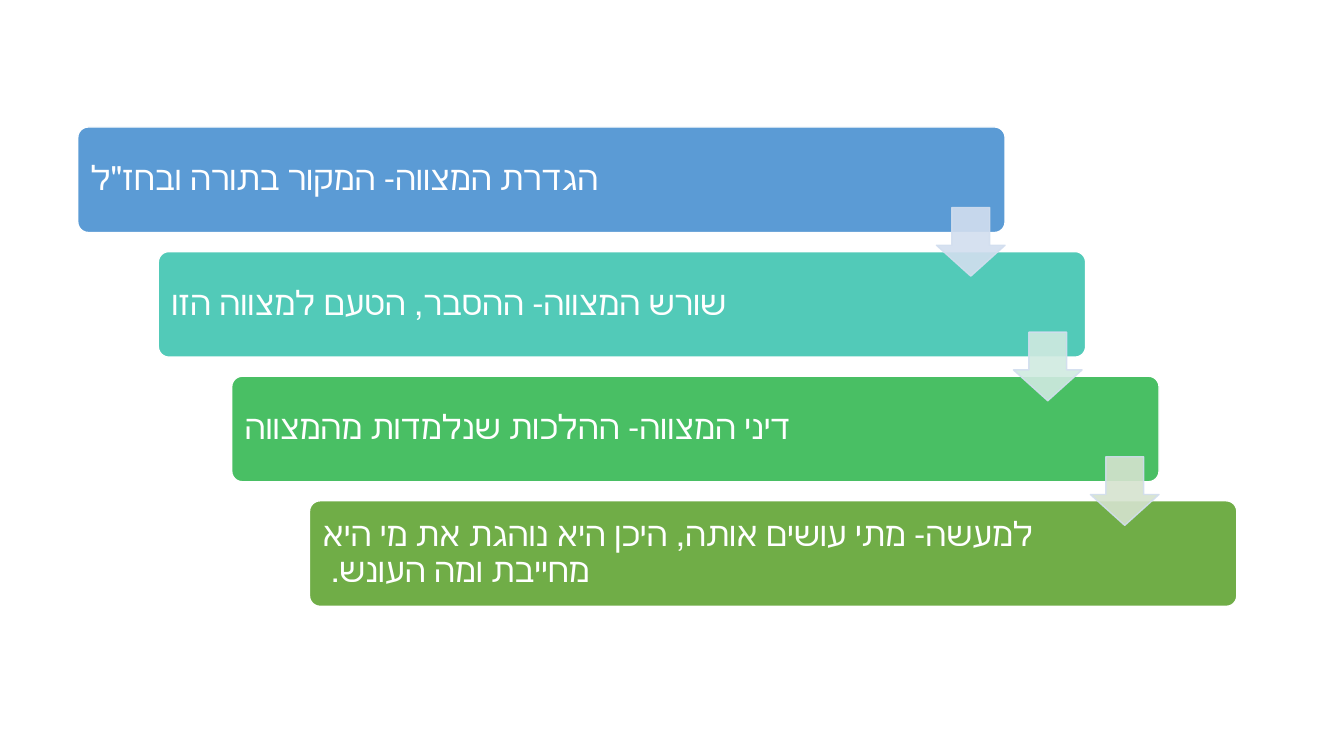
from dataclasses import dataclass

from pptx import Presentation
from pptx import util as u
from pptx.dml.color import RGBColor
from pptx.enum import shapes, text
from pptx.oxml.ns import qn
from lxml import etree


@dataclass(frozen=True)
class Theme:
    font: str = "Roboto"
    size: int = 24
    ink: str = "FFFFFF"
    edge: str = "FFFFFF"
    rim: str = "D2DEEF"
    alpha: int = 90


@dataclass(frozen=True)
class Step:
    left: float
    fill: str
    words: str


THEME = Theme()

# Lengths in cm
TOP, PITCH = 3.2, 3.14
WIDTH, HEIGHT = 23.37, 2.66
HEAD_LEFT, HEAD_TOP, HEAD_STEP, HEAD = 23.6, 5.23, 1.94, 1.73

STEPS = [
    Step(1.96, "5B9BD5", 'הגדרת המצווה- המקור בתורה ובחז"ל'),
    Step(3.99, "52CAB8", "שורש המצווה- ההסבר, הטעם למצווה הזו"),
    Step(5.84, "49BF64", "דיני המצווה- ההלכות שנלמדות מהמצווה"),
    Step(7.8, "70AD47",
         "למעשה- מתי עושים אותה, היכן היא נוהגת את מי היא מחייבת ומה העונש. "),
]
ARROWS = ["D2DEEF", "D0EAE1", "D5E3CF"]

FRAME = {
    "word_wrap": True,
    "vertical_anchor": text.MSO_ANCHOR.MIDDLE,
    "margin_left": u.Cm(0.25),
    "margin_right": u.Cm(3.94),
    "margin_top": u.Cm(0.25),
    "margin_bottom": u.Cm(0.25),
}
PARA = {"alignment": text.PP_ALIGN.LEFT, "line_spacing": 0.9}
FONT = {"name": THEME.font, "size": u.Pt(THEME.size)}


def apply(item, values: dict) -> None:
    for key, value in values.items():
        setattr(item, key, value)


def draw(slide, kind, box: tuple, adjust: tuple, fill: str, line: str):
    shape = slide.shapes.add_shape(kind, *(u.Cm(n) for n in box))
    shape.shadow.inherit = False
    for i, value in enumerate(adjust):
        shape.adjustments[i] = value
    shape.fill.solid()
    shape.fill.fore_color.rgb = RGBColor.from_string(fill)
    shape.line.color.rgb = RGBColor.from_string(line)
    shape.line.width = u.Pt(1)
    return shape


def add_bar(slide, step: Step, row: int) -> None:
    box = (step.left, TOP + row * PITCH, WIDTH, HEIGHT)
    shape = draw(slide, shapes.MSO_SHAPE.ROUNDED_RECTANGLE, box, (0.1,),
                 step.fill, THEME.edge)
    frame = shape.text_frame
    apply(frame, FRAME)
    para = frame.paragraphs[0]
    apply(para, PARA)
    para._p.get_or_add_pPr().set("rtl", "1")
    run = para.add_run()
    run.text = step.words
    apply(run.font, FONT)
    run.font.color.rgb = RGBColor.from_string(THEME.ink)


def add_arrow(slide, fill: str, row: int) -> None:
    box = (HEAD_LEFT + row * HEAD_STEP, HEAD_TOP + row * PITCH, HEAD, HEAD)
    shape = draw(slide, shapes.MSO_SHAPE.DOWN_ARROW, box, (0.55, 0.45),
                 fill, THEME.rim)
    # Slight transparency for fill and outline
    for color in shape._element.spPr.iter(qn("a:srgbClr")):
        etree.SubElement(color, qn("a:alpha"), val=str(THEME.alpha * 1000))


def main() -> None:
    deck = Presentation()
    deck.slide_width, deck.slide_height = u.Cm(33.87), u.Cm(19.05)
    slide = deck.slides.add_slide(deck.slide_layouts[6])

    # Staircase of bars
    for row, step in enumerate(STEPS):
        add_bar(slide, step, row)

    # Arrows between the bars
    for row, fill in enumerate(ARROWS):
        add_arrow(slide, fill, row)

    deck.save("out.pptx")


if __name__ == "__main__":
    main()
